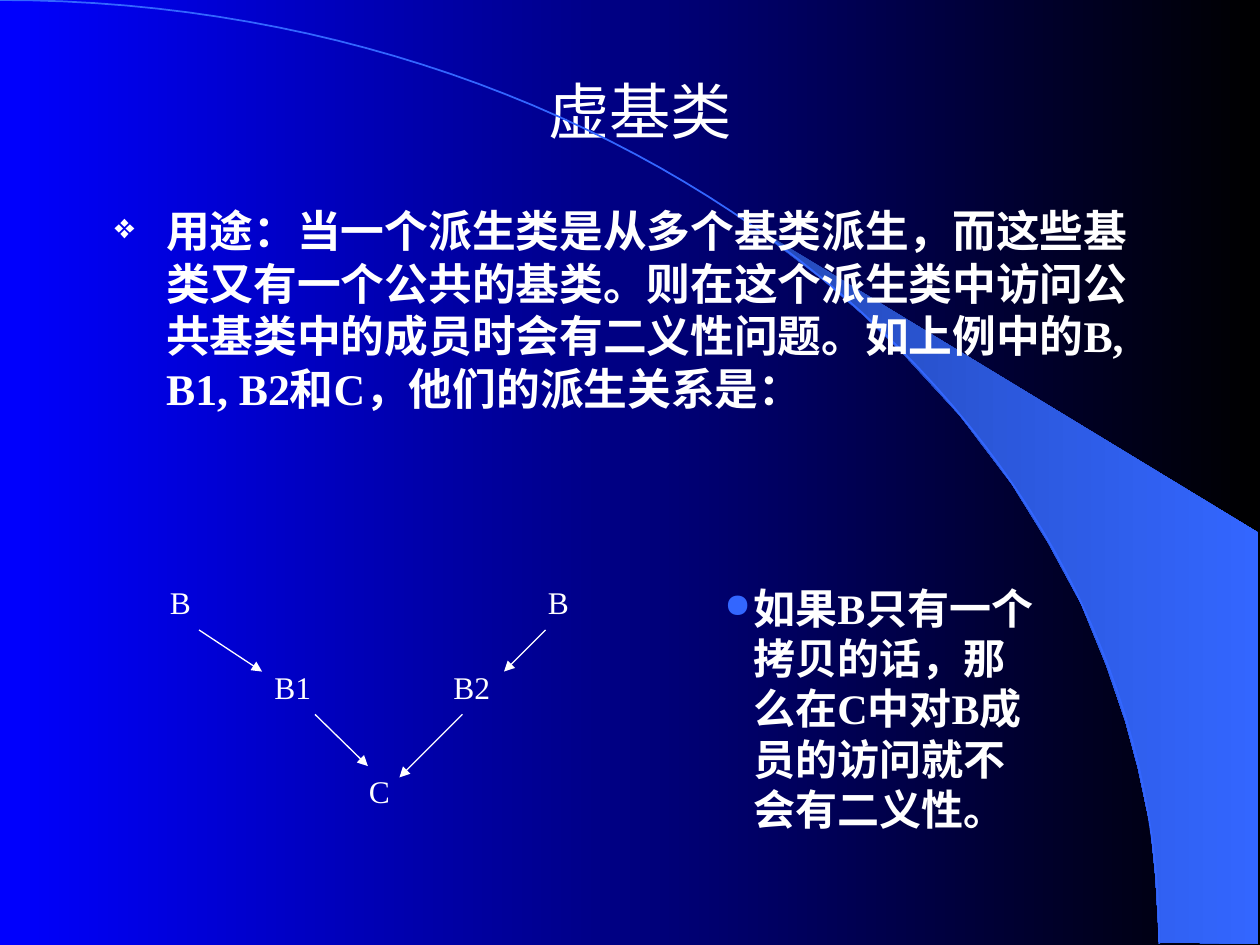
import pptx
import pptx.dml.color
import pptx.enum.shapes
import pptx.enum.text
import pptx.oxml
import pptx.oxml.ns
import pptx.util
from pptx.util import Inches

WHITE, BLUE = "FFFFFF", "3366FF"
SERIF = "Times New Roman"
WEDGE = [
    (9.2, 7.48), (9.99, 7.49), (9.99, 4.23), (5.89, 1.74), (6.24, 2), (6.53, 2.22),
    (6.85, 2.5), (7.16, 2.8), (7.62, 3.3), (8.03, 3.84), (8.32, 4.31), (8.58, 4.79),
    (8.78, 5.28), (8.93, 5.72), (9.03, 6.09), (9.13, 6.56), (9.17, 6.96),
]
CLASSES = [
    ("B", 1.25, 4.58, 0.58), ("B", 4.25, 4.58, 0.58), ("B1", 2.08, 5.25, 0.67),
    ("B2", 3.5, 5.25, 0.75), ("C", 2.83, 6.08, 0.75),
]
ARROWS = [
    (1.58, 5, 2.08, 5.33), (4.33, 5, 4, 5.33),
    (2.5, 5.67, 2.92, 6.08), (3.67, 5.67, 3.17, 6.17),
]


def color(value):
    return pptx.dml.color.RGBColor.from_string(value)


def set_gradient(fill, start, end):
    fill.gradient()
    fill.gradient_angle = 0
    for stop, value in zip(fill.gradient_stops, (start, end)):
        stop.color.rgb = color(value)


def add_child(parent, xml):
    ns = pptx.oxml.ns.nsdecls("a")
    parent.append(pptx.oxml.parse_xml(xml.replace("/>", f" {ns}/>")))


def add_bullet(p, char, value, indent):
    pPr = p._p.get_or_add_pPr()
    pPr.set("marL", str(Inches(indent)))
    pPr.set("indent", str(-Inches(indent)))
    ns = pptx.oxml.ns.nsdecls("a")
    pPr.append(pptx.oxml.parse_xml(f'<a:buClr {ns}><a:srgbClr val="{value}"/></a:buClr>'))
    add_child(pPr, '<a:buSzPct val="80000"/>')
    add_child(pPr, f'<a:buChar char="{char}"/>')


def write(sp, text, size, font=SERIF, bold=False, align="LEFT", anchor="TOP",
          margins=(0.08, 0.04), bullet=None, grow=False):
    tf = sp.text_frame
    tf.word_wrap = True
    tf.margin_left = tf.margin_right = Inches(margins[0])
    tf.margin_top = tf.margin_bottom = Inches(margins[1])
    tf.vertical_anchor = getattr(pptx.enum.text.MSO_ANCHOR, anchor)
    sizing = pptx.enum.text.MSO_AUTO_SIZE
    tf.auto_size = sizing.SHAPE_TO_FIT_TEXT if grow else sizing.NONE
    p = tf.paragraphs[0]
    p.alignment = getattr(pptx.enum.text.PP_ALIGN, align)
    if bullet:
        add_bullet(p, *bullet)
    r = p.add_run()
    r.text = text
    r.font.name = font
    r.font.size = pptx.util.Pt(size)
    r.font.bold = bold
    r.font.color.rgb = color(WHITE)


def add_text(s, box, text, size, **fmt):
    write(s.shapes.add_textbox(*map(Inches, box)), text, size, **fmt)


def add_outline(s, points, close):
    points = [(Inches(x), Inches(y)) for x, y in points]
    builder = s.shapes.build_freeform(*points[0])
    builder.add_line_segments(points[1:], close=close)
    sp = builder.convert_to_shape()
    sp.shadow.inherit = False
    return sp


def arc_points(steps=60):
    for i in range(steps + 1):
        t = i / steps
        u = 1 - t
        yield (3 * u * u * t * 5.08 + (3 * u * t * t + t ** 3) * 9.2,
               3 * u * t * t * 3.35 + t ** 3 * 7.49)


def add_backdrop(s):
    set_gradient(s.background.fill, "0000FF", "000000")
    wedge = add_outline(s, WEDGE, True)
    set_gradient(wedge.fill, "2449B6", BLUE)
    wedge.line.fill.background()
    arc = add_outline(s, list(arc_points()), False)
    arc.fill.background()
    arc.line.color.rgb = color(BLUE)
    arc.line.width = pptx.util.Pt(1)


def add_arrow(s, ends):
    line = s.shapes.add_connector(
        pptx.enum.shapes.MSO_CONNECTOR.STRAIGHT, *map(Inches, ends))
    line.line.color.rgb = color(WHITE)
    line.line.width = pptx.util.Pt(0.75)
    add_child(line.line._get_or_add_ln(), '<a:tailEnd type="triangle"/>')
    add_child(line._element.spPr, "<a:effectLst/>")


def add_title(s, text):
    sp = s.shapes.title
    sp.left, sp.top, sp.width, sp.height = map(Inches, (0.83, 0.25, 8.5, 1.25))
    write(sp, text, 35, font="Arial", align="CENTER", anchor="MIDDLE")


def main():
    prs = pptx.Presentation()
    prs.slide_width, prs.slide_height = Inches(10), Inches(7.5)
    s = prs.slides.add_slide(prs.slide_layouts[5])
    add_backdrop(s)
    add_title(s, "虚基类")
    add_text(s, (0.83, 1.58, 8.5, 2.92),
             "用途：当一个派生类是从多个基类派生，而这些基类又有一个公共的基类。"
             "则在这个派生类中访问公共基类中的成员时会有二义性问题。"
             "如上例中的B, B1, B2和C，他们的派生关系是：",
             25, bold=True, bullet=("❖", WHITE, 0.41))
    for name, left, top, width in CLASSES:
        add_text(s, (left, top, width, 0.4), name, 18, margins=(0.1, 0.05), grow=True)
    for ends in ARROWS:
        add_arrow(s, ends)
    add_text(s, (5.67, 4.58, 2.67, 2.1),
             "如果B只有一个拷贝的话，那么在C中对B成员的访问就不会有二义性。",
             24, bold=True, bullet=("●", BLUE, 0.23), grow=True)
    prs.save("out.pptx")


if __name__ == "__main__":
    main()
